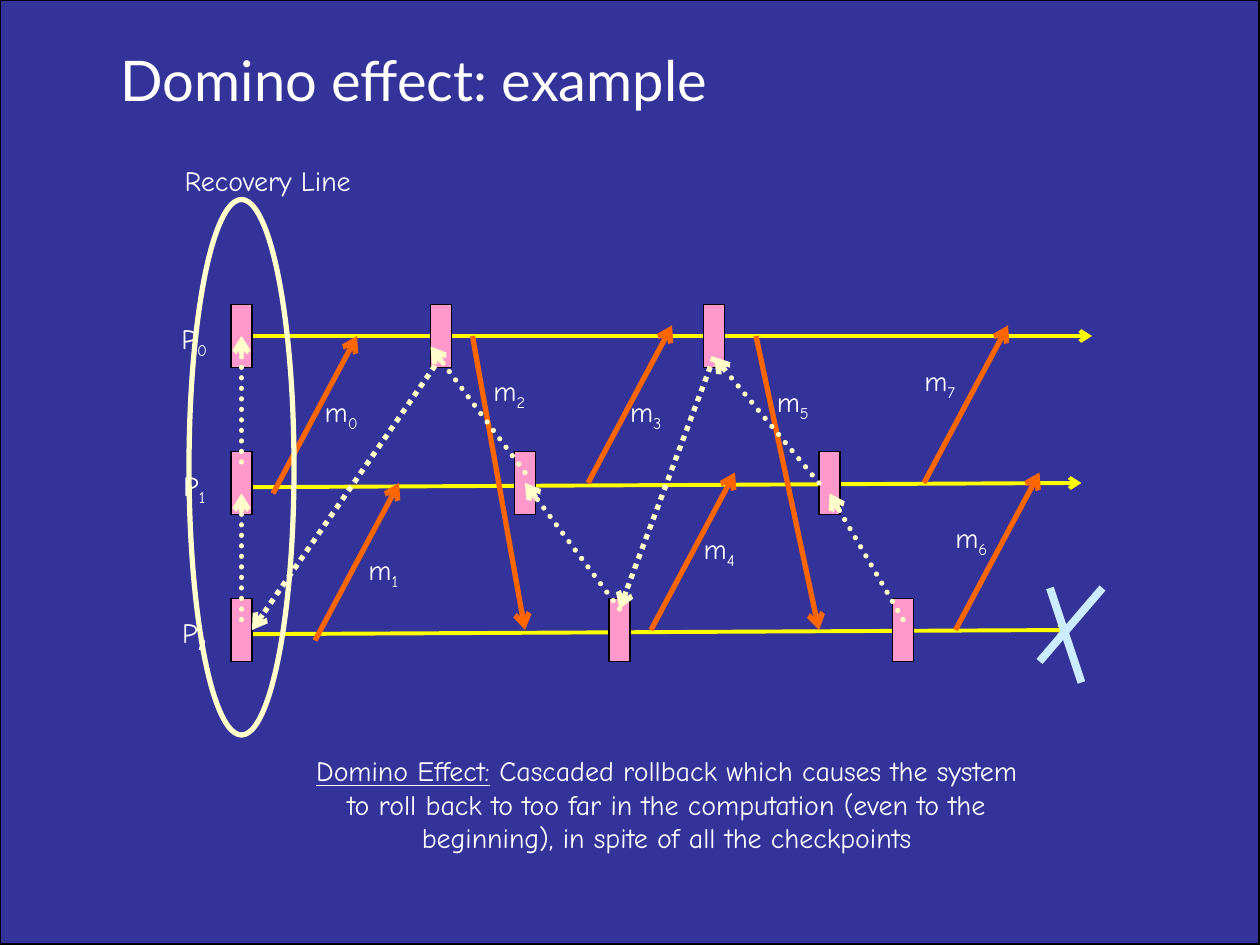
"""Build the domino effect slide: checkpoints, messages and rollbacks of three processes."""
from lxml import etree
from pptx import Presentation
from pptx.dml.color import RGBColor as RGB
from pptx.enum.dml import MSO_LINE as DASH
from pptx.enum.shapes import MSO_CONNECTOR as CONN, MSO_SHAPE as SHAPE
from pptx.enum.text import MSO_ANCHOR as ANCHOR, PP_ALIGN as ALIGN
from pptx.oxml.ns import qn
from pptx.util import Cm, Pt

COLORS = {
    "background": "333399", "text": "FFFFFF", "edge": "000000",
    "timeline": "FFFF00", "checkpoint": "FF99CC", "message": "FF6600",
    "rollback": "FFFFCC", "crash": "CCECFF",
}
GRID = 2.54 / 12


def add_text(box, parts, size=16, font="Comic Neue", align=ALIGN.CENTER):
    tb = s.shapes.add_textbox(*[Cm(n * GRID) for n in box])
    tf = tb.text_frame
    tf.word_wrap = True
    p = tf.paragraphs[0]
    p.alignment = align
    for part in parts:
        r = p.add_run()
        r.text = part
        r.font.size = Pt(size)
        r.font.name = font
        r.font.color.rgb = RGB.from_string(COLORS["text"])
    return tf


def add_line(points, color, width, arrow=True, dash=None, cap=None):
    c = s.shapes.add_connector(CONN.STRAIGHT, *[Cm(n * GRID) for n in points])
    c.line.color.rgb = RGB.from_string(COLORS[color])
    c.line.width = Pt(width)
    if dash:
        c.line.dash_style = dash
    ln = c.line._get_or_add_ln()
    if cap:
        ln.set("cap", cap)
    if arrow:
        etree.SubElement(ln, qn("a:tailEnd"), type="arrow")
    etree.SubElement(c._element.spPr, qn("a:effectLst"))


prs = Presentation()
prs.slide_width, prs.slide_height = Cm(25.4), Cm(19.05)
s = prs.slides.add_slide(prs.slide_layouts[6])

bg = s.shapes.add_shape(SHAPE.RECTANGLE, 0, 0, prs.slide_width, prs.slide_height)
bg.shadow.inherit = False
bg.fill.solid()
bg.fill.fore_color.rgb = RGB.from_string(COLORS["background"])
bg.line.color.rgb = RGB.from_string(COLORS["edge"])
bg.line.width = Pt(1.75)

tf = add_text((10.3, -3.7, 102, 15), ["Domino effect: example"], 32, "Lato", ALIGN.LEFT)
tf.vertical_anchor = ANCHOR.BOTTOM

for points in [(24, 32, 104, 32), (24, 46.4, 103, 46), (24, 60.4, 102, 60)]:
    add_line(points, "timeline", 2.25)

labels = [
    ("P0", 15, 30), ("P1", 15, 44), ("P2", 15, 58),
    ("m0", 29, 37), ("m1", 33, 52), ("m2", 45, 35), ("m3", 58, 37),
    ("m4", 65, 50), ("m5", 72, 36), ("m7", 86, 34), ("m6", 89, 49),
]
for name, x, y in labels:
    tf = add_text((x, y, 7, 4.9), name)
    tf.paragraphs[0].runs[1].font._element.set("baseline", "-25000")

for row, columns in enumerate([(22, 41, 67), (22, 49, 78), (22, 58, 85)]):
    for x in columns:
        box = (x, 29 + 14 * row, 2, 6)
        sp = s.shapes.add_shape(SHAPE.RECTANGLE, *[Cm(n * GRID) for n in box])
        sp.shadow.inherit = False
        sp.fill.solid()
        sp.fill.fore_color.rgb = RGB.from_string(COLORS["checkpoint"])
        sp.line.color.rgb = RGB.from_string(COLORS["edge"])
        sp.line.width = Pt(1)

for x, y in [(26, 47), (30, 61), (56, 46), (62, 60), (88, 46), (91, 60)]:
    add_line((x, y, x + 8, y - 15), "message", 3)
for points in [(45, 32, 50, 60), (72, 32, 78, 60)]:
    add_line(points, "message", 3)

for points in [(100, 56, 103, 65), (105, 56, 99, 63)]:
    add_line(points, "crash", 4.5, arrow=False)

rollbacks = [
    (86, 59, 79, 47, "rnd"), (78, 46, 68, 34, "rnd"), (68, 34, 59, 58, None),
    (23, 59, 23, 47, "rnd"), (50, 45, 41, 33, "rnd"), (42, 34, 24, 60, None),
    (23, 44, 23, 32, "rnd"), (59, 58, 50, 46, "rnd"),
]
for *points, cap in rollbacks:
    add_line(points, "rollback", 3, dash=DASH.ROUND_DOT if cap is None else DASH.ROUND_DOT, cap=cap)

oval = s.shapes.add_shape(SHAPE.OVAL, *[Cm(n * GRID) for n in (18, 19, 10, 51)])
oval.shadow.inherit = False
oval.fill.background()
oval.line.color.rgb = RGB.from_string(COLORS["rollback"])
oval.line.width = Pt(3)
add_text((15, 15, 21, 4.4), ["Recovery Line"])

tf = add_text((28, 71.2, 71, 10.8), [
    "Domino Effect:",
    " Cascaded rollback which causes the system to roll back to too far in the "
    "computation (even to the beginning), in spite of all the checkpoints",
])
tf.paragraphs[0].runs[0].font.underline = True

prs.save("out.pptx")
